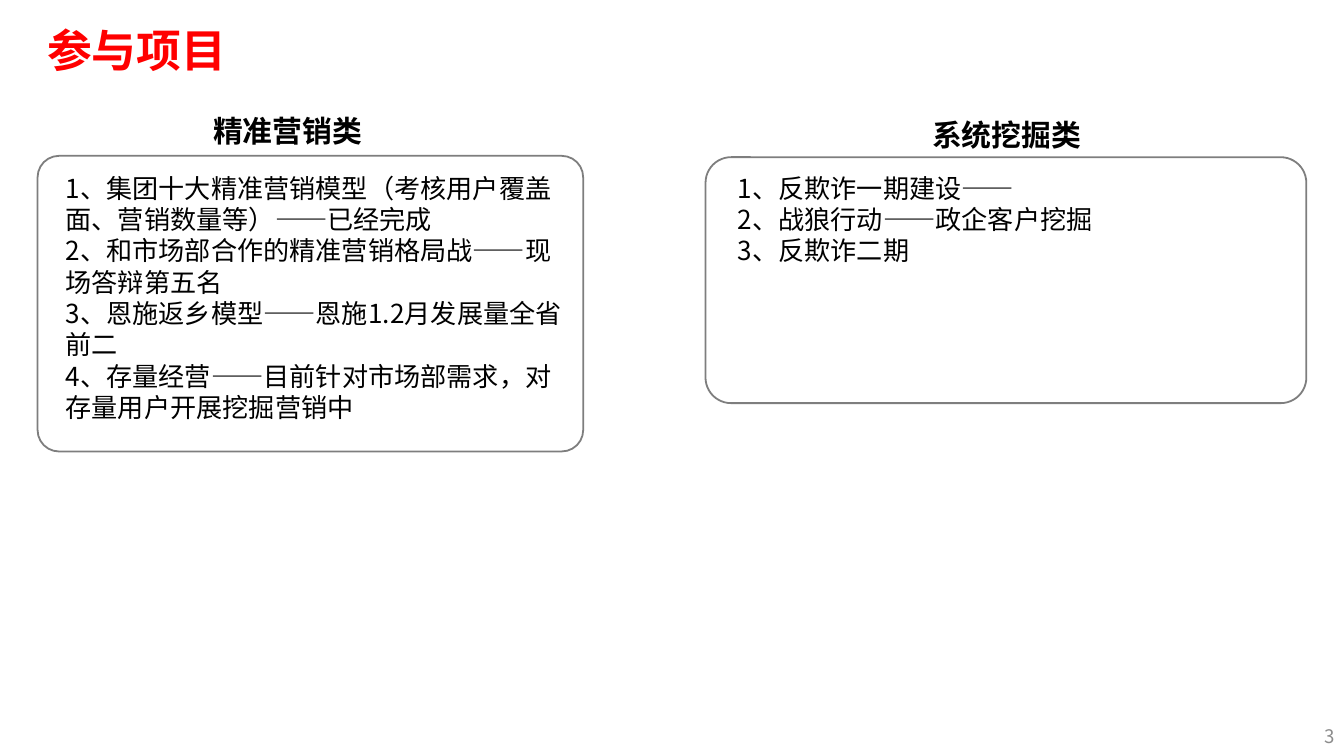
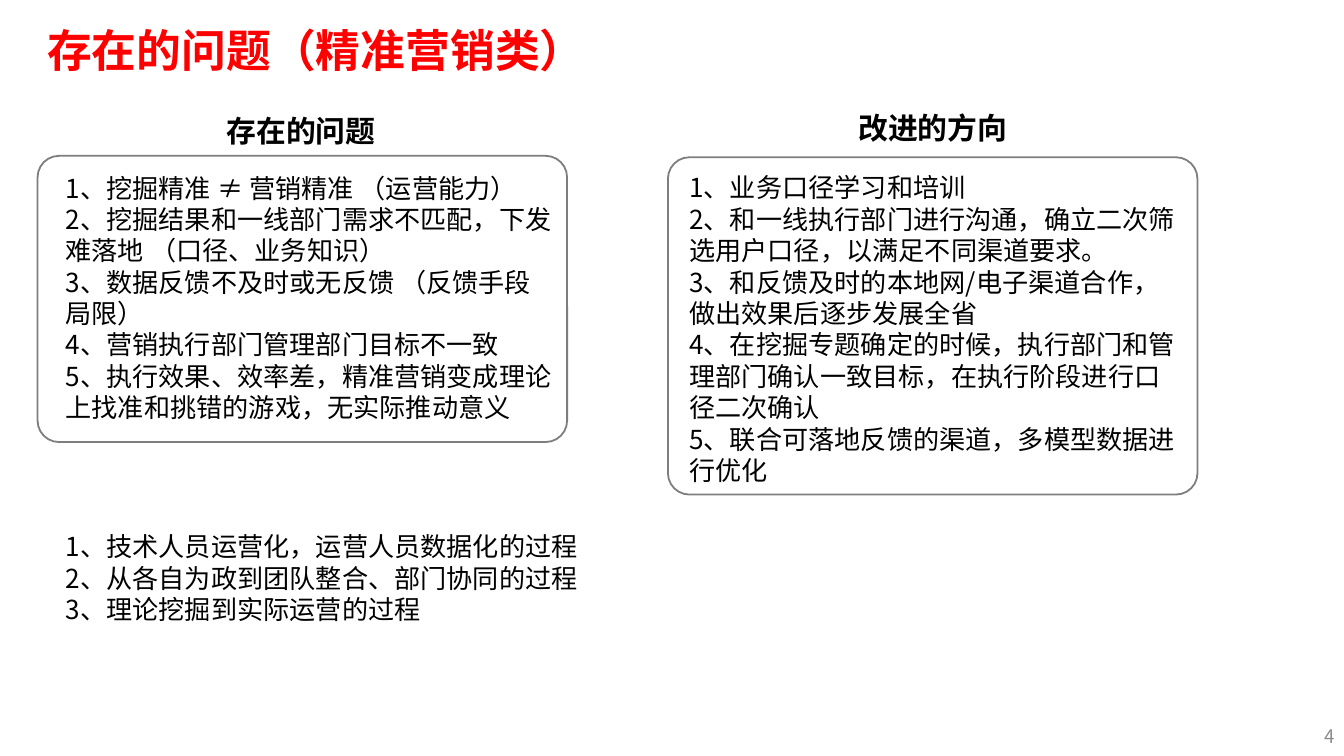
"""Build two slides on marketing projects, their problems and improvements."""
from pptx import Presentation
from pptx.dml.color import RGBColor
from pptx.enum.shapes import MSO_SHAPE
from pptx.enum.text import MSO_ANCHOR, PP_ALIGN
from pptx.oxml.ns import qn
from pptx.util import Inches, Pt
from lxml.etree import SubElement

COLORS = {"title": "FF0000", "text": "000000", "frame": "7E7E7E", "number": "8C8C8C"}
FONT = "Noto Sans CJK SC"
SYMBOL_FONT = "Calibri"
LINE_RATIO = 1.2
SLIDE_WIDTH = Inches(10)
SLIDE_HEIGHT = SLIDE_WIDTH * 9 // 16
TITLE_BOX = (0.28, 0.1, 9.45, 0.54)
NUMBER_BOX = (7.67, 5.33, 2.33, 0.3)
WIDE_INSETS = (0.1, 0.05)
TIGHT_INSETS = (0.07, 0.04)

SLIDES = [
    {
        "title": "参与项目",
        "number": "3",
        "panels": [
            {
                "heading": "精准营销类",
                "heading_box": (0.39, 0.79, 3.5, 0.37),
                "frame": (0.28, 1.16, 4.06, 2.2),
                "radius": 0.16,
                "list_box": (0.39, 1.23, 3.94, 1.99),
                "items": [
                    "1、集团十大精准营销模型（考核用户覆盖面、营销数量等）——已经完成",
                    "2、和市场部合作的精准营销格局战——现场答辩第五名",
                    "3、恩施返乡模型——恩施1.2月发展量全省前二",
                    "4、存量经营——目前针对市场部需求，对存量用户开展挖掘营销中",
                ],
            },
            {
                "heading": "系统挖掘类",
                "heading_box": (6.21, 0.82, 2.56, 0.37),
                "frame": (5.25, 1.17, 4.47, 1.83),
                "radius": 0.19,
                "list_box": (5.39, 1.23, 3.94, 0.81),
                "items": [
                    "1、反欺诈一期建设——",
                    "2、战狼行动——政企客户挖掘",
                    "3、反欺诈二期",
                ],
            },
        ],
    },
    {
        "title": "存在的问题（精准营销类）",
        "number": "4",
        "panels": [
            {
                "heading": "存在的问题",
                "heading_box": (0.49, 0.79, 3.5, 0.37),
                "frame": (0.28, 1.16, 3.94, 2.13),
                "radius": 0.16,
                "list_box": (0.39, 1.23, 3.82, 1.99),
                "items": [
                    ("1、挖掘精准 ", "≠ ", "营销精准 （运营能力）"),
                    "2、挖掘结果和一线部门需求不匹配，下发难落地 （口径、业务知识）",
                    "3、数据反馈不及时或无反馈 （反馈手段局限）",
                    "4、营销执行部门管理部门目标不一致",
                    "5、执行效果、效率差，精准营销变成理论上找准和挑错的游戏，无实际推动意义",
                ],
            },
            {
                "heading": "改进的方向",
                "heading_box": (5.19, 0.77, 3.5, 0.37),
                "frame": (4.97, 1.17, 3.94, 2.51),
                "radius": 0.16,
                "list_box": (5.03, 1.23, 3.82, 2.46),
                "items": [
                    "1、业务口径学习和培训",
                    "2、和一线执行部门进行沟通，确立二次筛选用户口径，以满足不同渠道要求。",
                    "3、和反馈及时的本地网/电子渠道合作，做出效果后逐步发展全省",
                    "4、在挖掘专题确定的时候，执行部门和管理部门确认一致目标，在执行阶段进行口径二次确认",
                    "5、联合可落地反馈的渠道，多模型数据进行优化",
                ],
            },
            {
                "list_box": (0.39, 3.9, 8.11, 0.81),
                "items": [
                    "1、技术人员运营化，运营人员数据化的过程",
                    "2、从各自为政到团队整合、部门协同的过程",
                    "3、理论挖掘到实际运营的过程",
                ],
            },
        ],
    },
]


def inches(box):
    return [Inches(length) for length in box]


def style_run(run, size, color, bold):
    font = run.font
    font.name = SYMBOL_FONT if run.text.startswith("≠") else FONT
    font.size = Pt(size)
    font.bold = bold
    font.color.rgb = RGBColor.from_string(COLORS[color])
    SubElement(font._element, qn("a:ea")).set("typeface", FONT)


def fill_text(holder, items, size, color, bold=False, align=PP_ALIGN.LEFT,
              anchor=MSO_ANCHOR.TOP, insets=WIDE_INSETS):
    frame = holder.text_frame
    frame.word_wrap = True
    frame.vertical_anchor = anchor
    frame.margin_left = frame.margin_right = Inches(insets[0])
    frame.margin_top = frame.margin_bottom = Inches(insets[1])
    for index, item in enumerate(items):
        paragraph = frame.add_paragraph() if index else frame.paragraphs[0]
        paragraph.alignment = align
        paragraph.line_spacing = Pt(round(size * LINE_RATIO, 1))
        for part in (item,) if isinstance(item, str) else item:
            run = paragraph.add_run()
            run.text = part
            style_run(run, size, color, bold)


def add_title(slide, title):
    heading = slide.shapes.title
    heading.left, heading.top, heading.width, heading.height = inches(TITLE_BOX)
    fill_text(heading, [title], 24, "title", True,
              anchor=MSO_ANCHOR.MIDDLE, insets=TIGHT_INSETS)


def add_frame(slide, box, radius):
    frame = slide.shapes.add_shape(MSO_SHAPE.ROUNDED_RECTANGLE, *inches(box))
    frame.adjustments[0] = radius / min(box[2:])
    frame.shadow.inherit = False
    frame.fill.background()
    frame.line.color.rgb = RGBColor.from_string(COLORS["frame"])
    frame.line.width = Pt(0.96)


def add_panel(slide, panel):
    if "frame" in panel:
        add_frame(slide, panel["frame"], panel["radius"])
        heading = slide.shapes.add_textbox(*inches(panel["heading_box"]))
        fill_text(heading, [panel["heading"]], 16, "text", True, PP_ALIGN.CENTER)
    points = slide.shapes.add_textbox(*inches(panel["list_box"]))
    fill_text(points, panel["items"], 14, "text")


def add_number(slide, number):
    page = slide.shapes.add_textbox(*inches(NUMBER_BOX))
    fill_text(page, [number], 10, "number", align=PP_ALIGN.RIGHT,
              anchor=MSO_ANCHOR.MIDDLE, insets=TIGHT_INSETS)


deck = Presentation()
deck.slide_width, deck.slide_height = SLIDE_WIDTH, SLIDE_HEIGHT
for content in SLIDES:
    slide = deck.slides.add_slide(deck.slide_layouts[5])
    add_title(slide, content["title"])
    add_number(slide, content["number"])
    for panel in content["panels"]:
        add_panel(slide, panel)
deck.save("out.pptx")
